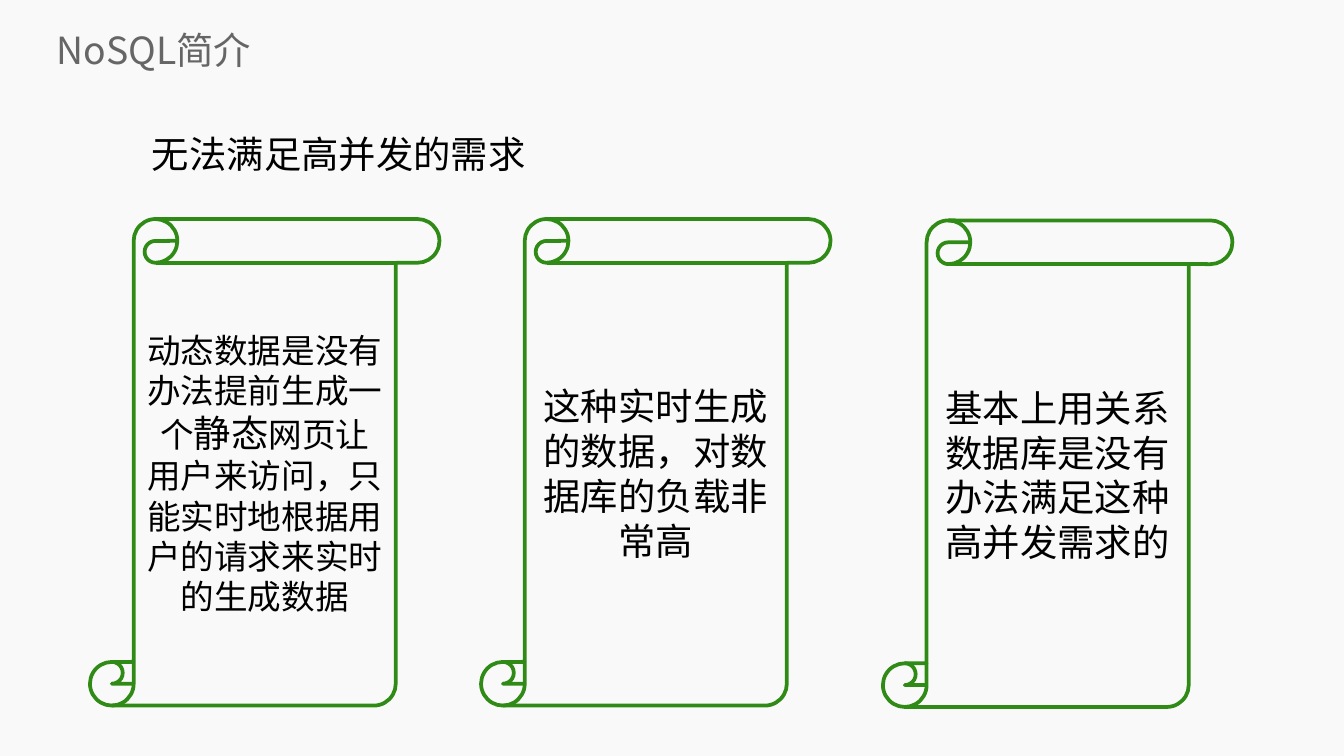
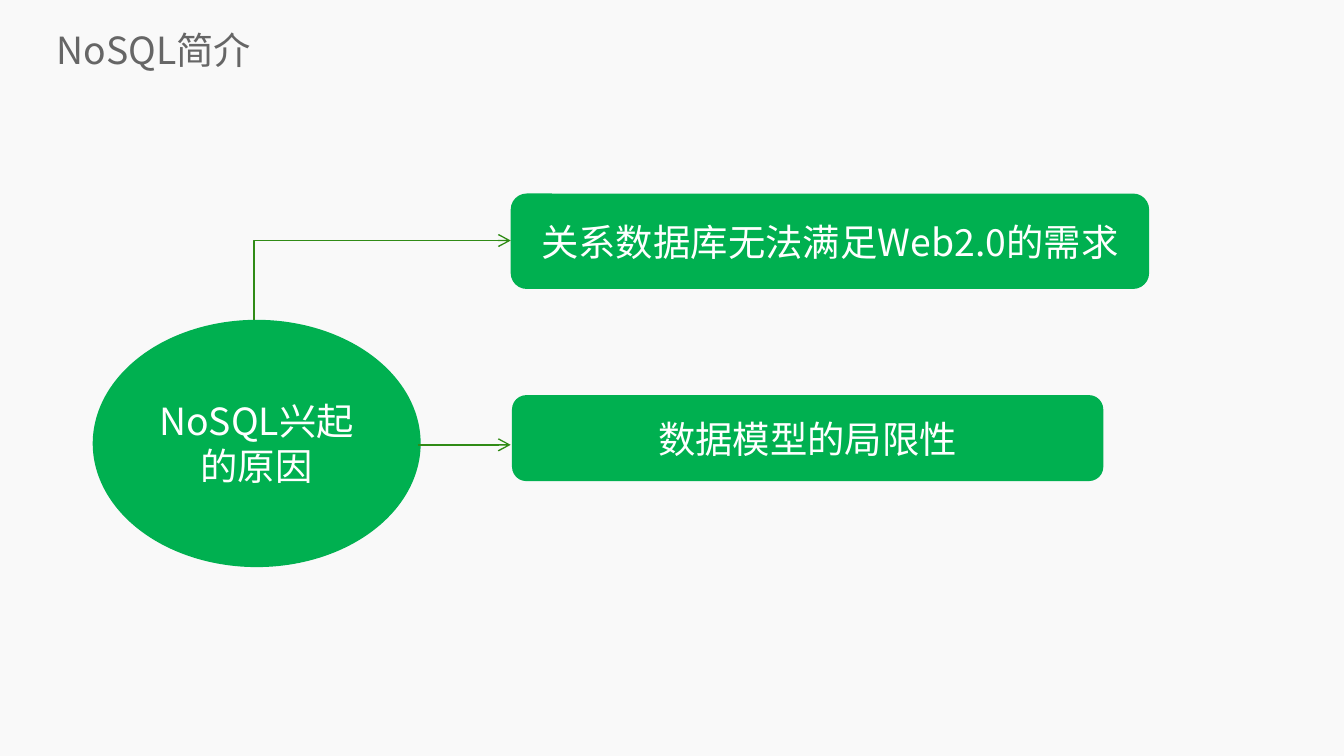
from dataclasses import dataclass

from lxml.etree import SubElement
from pptx import Presentation
from pptx.dml.color import RGBColor
from pptx.enum.shapes import MSO_CONNECTOR, MSO_SHAPE
from pptx.enum.text import MSO_ANCHOR, PP_ALIGN
from pptx.oxml.ns import qn
from pptx.util import Inches, Pt


@dataclass(frozen=True)
class Theme:
    font: str = "Noto Sans CJK SC"
    background: str = "F9F9F9"
    title: str = "666666"
    text: str = "000000"
    on_fill: str = "FFFFFF"
    fill: str = "00B050"
    outline: str = "308B16"
    size: int = 20
    small: int = 18
    outline_width: float = 2
    arrow_width: float = 0.75


THEME = Theme()
COLS, ROWS = 100, 56.25  # square grid cells, a tenth of an inch each


def cells(*counts):
    return [Inches(n / 10) for n in counts]


# Text
def style_run(r, color, size=THEME.size):
    r.font.name = THEME.font
    r.font.size = Pt(size)
    r.font.color.rgb = RGBColor.from_string(color)
    ea = SubElement(r._r.get_or_add_rPr(), qn("a:ea"))
    ea.set("typeface", THEME.font)


def add_label(slide, box, text, color, anchor, spacing=None):
    tf = slide.shapes.add_textbox(*cells(*box)).text_frame
    tf.word_wrap = True
    tf.vertical_anchor = anchor
    tf.margin_left = tf.margin_right = tf.margin_top = tf.margin_bottom = 0
    p = tf.paragraphs[0]
    p.text = text
    p.line_spacing = spacing
    style_run(p.runs[0], color)


# Shapes
def add_box(slide, kind, box, pieces, color):
    """Add a shape with centred text; pieces are (text, size) pairs."""
    sp = slide.shapes.add_shape(kind, *cells(*box))
    sp.shadow.inherit = False
    tf = sp.text_frame
    tf.word_wrap = True
    tf.vertical_anchor = MSO_ANCHOR.MIDDLE
    p = tf.paragraphs[0]
    p.alignment = PP_ALIGN.CENTER
    for text, size in pieces:
        r = p.add_run()
        r.text = text
        style_run(r, color, size)
    return sp


def add_scroll(slide, left, top, pieces):
    sp = add_box(slide, MSO_SHAPE.VERTICAL_SCROLL, (left, top, 26, 36.2),
                 pieces, THEME.text)
    sp.fill.background()
    sp.line.color.rgb = RGBColor.from_string(THEME.outline)
    sp.line.width = Pt(THEME.outline_width)


def add_filled(slide, kind, box, text):
    sp = add_box(slide, kind, box, [(text, THEME.size)], THEME.on_fill)
    sp.fill.solid()
    sp.fill.fore_color.rgb = RGBColor.from_string(THEME.fill)
    sp.line.fill.background()


# Arrows
def add_arrow(slide, start, end, kind=MSO_CONNECTOR.STRAIGHT):
    line = slide.shapes.add_connector(kind, *cells(*start, *end))
    line.line.color.rgb = RGBColor.from_string(THEME.outline)
    line.line.width = Pt(THEME.arrow_width)
    SubElement(line.line._get_or_add_ln(), qn("a:tailEnd")).set("type", "arrow")
    SubElement(line._element.spPr, qn("a:effectLst"))
    return line


def add_up_then_right_arrow(slide, start, end):
    # A quarter turn about the centre makes the one-bend line leave upwards
    (x1, y1), (x2, y2) = start, end
    mid_x, mid_y = (x1 + x2) / 2, (y1 + y2) / 2
    half_w, half_h = (y1 - y2) / 2, (x2 - x1) / 2
    line = add_arrow(slide, (mid_x + half_w, mid_y + half_h),
                     (mid_x - half_w, mid_y - half_h), MSO_CONNECTOR.ELBOW)
    spPr = line._element.spPr
    spPr.find(qn("a:xfrm")).set("rot", str(90 * 60000))
    spPr.find(qn("a:prstGeom")).set("prst", "bentConnector2")


# Slides
def add_titled_slide(prs):
    slide = prs.slides.add_slide(prs.slide_layouts[6])
    fill = slide.background.fill
    fill.solid()
    fill.fore_color.rgb = RGBColor.from_string(THEME.background)
    add_label(slide, (4.2, 1.8, 94.3, 3.8), "NoSQL简介", THEME.title,
              MSO_ANCHOR.MIDDLE)
    return slide


def build_concurrency(prs):
    slide = add_titled_slide(prs)
    add_label(slide, (11.3, 8.4, 74.9, 4.7), "无法满足高并发的需求",
              THEME.text, MSO_ANCHOR.TOP, spacing=1.4)
    scrolls = [
        (6.7, 16.3, [("动态数据是没有办法提前生成一个", THEME.small),
                     ("静态", THEME.size),
                     ("网页让用户来访问，只能实时地根据用户的请求来实时的生成数据",
                      THEME.small)]),
        (35.8, 16.3, [("这种实时生成的数据，对数据库的负载非常高", THEME.size)]),
        (65.7, 16.4, [("基本上用关系数据库是没有办法满足这种高并发需求的",
                       THEME.size)]),
    ]
    for left, top, pieces in scrolls:
        add_scroll(slide, left, top, pieces)


def build_reasons(prs):
    slide = add_titled_slide(prs)
    add_filled(slide, MSO_SHAPE.OVAL, (6.9, 23.8, 24.4, 18.4), "NoSQL兴起的原因")
    add_filled(slide, MSO_SHAPE.ROUNDED_RECTANGLE, (38, 14.4, 47.5, 7.1),
               "关系数据库无法满足Web2.0的需求")
    add_filled(slide, MSO_SHAPE.ROUNDED_RECTANGLE, (38.1, 29.4, 44, 6.4),
               "数据模型的局限性")
    add_up_then_right_arrow(slide, (18.9, 23.8), (38, 17.9))
    add_arrow(slide, (31.1, 33.1), (38, 33.1))


def main():
    prs = Presentation()
    prs.slide_width, prs.slide_height = cells(COLS, ROWS)
    build_concurrency(prs)
    build_reasons(prs)
    prs.save("out.pptx")


if __name__ == "__main__":
    main()
